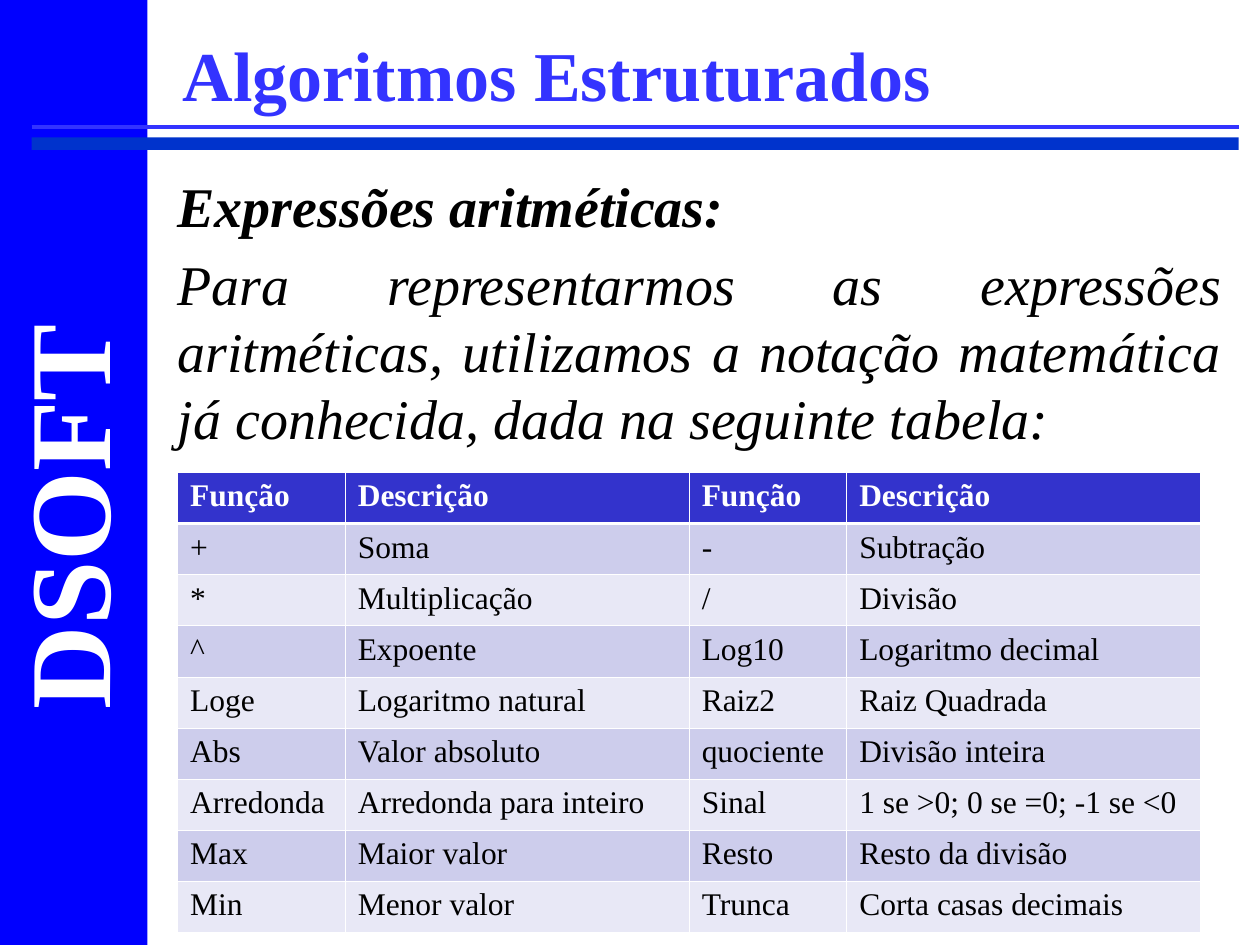
from lxml.etree import SubElement
from pptx import Presentation
from pptx.dml.color import RGBColor
from pptx.enum.shapes import MSO_CONNECTOR, MSO_SHAPE
from pptx.enum.text import MSO_ANCHOR, MSO_AUTO_SIZE, PP_ALIGN
from pptx.oxml.ns import qn
from pptx.util import Inches, Pt

COLORS = {
    "sidebar": "0000FF",
    "bar": "0033CC",
    "accent": "3333FF",
    "header": "3333CC",
    "odd_row": "CDCDEC",
    "even_row": "E8E8F6",
    "white": "FFFFFF",
    "black": "000000",
}
FONT = "Times New Roman"
COLUMN_WIDTHS = [1.33, 2.73, 1.25, 2.81]
FUNCTIONS = [
    ["Função", "Descrição", "Função", "Descrição"],
    ["+", "Soma", "-", "Subtração"],
    ["*", "Multiplicação", "/", "Divisão"],
    ["^", "Expoente", "Log10", "Logaritmo decimal"],
    ["Loge", "Logaritmo natural", "Raiz2", "Raiz Quadrada"],
    ["Abs", "Valor absoluto", "quociente", "Divisão inteira"],
    ["Arredonda", "Arredonda para inteiro", "Sinal", "1 se >0; 0 se =0; -1 se <0"],
    ["Max", "Maior valor", "Resto", "Resto da divisão"],
    ["Min", "Menor valor", "Trunca", "Corta casas decimais"],
]


def color(name):
    return RGBColor.from_string(COLORS[name])


def write(para, text, size=18, ink="black", bold=False, italic=False,
          align=PP_ALIGN.LEFT, before=0):
    para.alignment = align
    para.space_before = Pt(before)
    span = para.add_run()
    span.text = text
    span.font.name = FONT
    span.font.size = Pt(size)
    span.font.bold = bold
    span.font.italic = italic
    span.font.color.rgb = color(ink)


def remove_bullet(para):
    properties = para._p.get_or_add_pPr()
    properties.set("marL", "0")
    properties.set("indent", "0")
    SubElement(properties, qn("a:buNone"))


def set_border(cell, side, width):
    properties = cell._tc.get_or_add_tcPr()
    line = SubElement(properties, qn(f"a:ln{side}"), w=str(Pt(width)))
    fill = SubElement(line, qn("a:solidFill"))
    SubElement(fill, qn("a:srgbClr"), val=COLORS["white"])


class SlideBuilder:
    def __init__(self, deck):
        self.page = deck.slides.add_slide(deck.slide_layouts[1])

    def place(self, box, left, top, width, height, anchor):
        box.left, box.top = Inches(left), Inches(top)
        box.width, box.height = Inches(width), Inches(height)
        frame = box.text_frame
        frame.auto_size = MSO_AUTO_SIZE.NONE
        frame.word_wrap = True
        frame.vertical_anchor = anchor
        return frame

    def rectangle(self, left, top, width, height, fill):
        box = self.page.shapes.add_shape(
            MSO_SHAPE.RECTANGLE, Inches(left), Inches(top), Inches(width), Inches(height))
        box.shadow.inherit = False
        box.fill.solid()
        box.fill.fore_color.rgb = color(fill)
        box.line.fill.background()

    def rule(self, left, right, top, ink, width):
        line = self.page.shapes.add_connector(
            MSO_CONNECTOR.STRAIGHT, Inches(left), Inches(top), Inches(right), Inches(top))
        line.line.color.rgb = color(ink)
        line.line.width = Pt(width)
        SubElement(line._element.spPr, qn("a:effectLst"))

    def vertical_label(self, text, left, top, width, height):
        box = self.page.shapes.add_textbox(
            Inches(left), Inches(top), Inches(width), Inches(height))
        box.rotation = 270
        box.text_frame.word_wrap = True
        box.text_frame.margin_right = 0
        write(box.text_frame.paragraphs[0], text, size=66, ink="white", bold=True)

    def title(self, text, *area):
        frame = self.place(self.page.shapes.title, *area, MSO_ANCHOR.MIDDLE)
        write(frame.paragraphs[0], text, size=40, ink="accent", bold=True)

    def body(self, heading, text, *area):
        frame = self.place(self.page.placeholders[1], *area, MSO_ANCHOR.TOP)
        paragraphs = [frame.paragraphs[0], frame.add_paragraph()]
        for para, content, bold in zip(paragraphs, [heading, text], [True, False]):
            write(para, content, size=32, bold=bold, italic=True,
                  align=PP_ALIGN.JUSTIFY, before=6)
            remove_bullet(para)

    def table(self, rows, widths, left, top, height):
        table = self.page.shapes.add_table(
            len(rows), len(widths), Inches(left), Inches(top),
            Inches(sum(widths)), Inches(height)).table
        table.horz_banding = False
        for column, width in zip(table.columns, widths):
            column.width = Inches(width)
        for index, values in enumerate(rows):
            header = index == 0
            fill = "header" if header else "odd_row" if index % 2 else "even_row"
            edges = {"L": 0.45, "R": 0.45,
                     "T": 1.47 if index == 1 else 0.45,
                     "B": 1.47 if header else 0.45}
            for cell, value in zip(table.rows[index].cells, values):
                write(cell.text_frame.paragraphs[0], value,
                      ink="white" if header else "black", bold=header)
                for side, width in edges.items():
                    set_border(cell, side, width)
                cell.fill.solid()
                cell.fill.fore_color.rgb = color(fill)


def main():
    deck = Presentation()
    deck.slide_width, deck.slide_height = Inches(10), Inches(7.5)
    slide = SlideBuilder(deck)
    slide.rectangle(0, 0, 1.17, 7.5, "sidebar")
    slide.rectangle(0.25, 1.09, 9.58, 0.1, "bar")
    slide.rule(0.25, 9.83, 1.01, "accent", 2.25)
    slide.vertical_label("DSOFT", -1.11, 3.5, 3.25, 1.2)
    slide.title("Algoritmos Estruturados", 1.35, 0.08, 8.49, 1)
    slide.body(
        "Expressões aritméticas:",
        "Para representarmos as expressões aritméticas, utilizamos a notação "
        "matemática já conhecida, dada na seguinte tabela:",
        1.31, 1.31, 8.49, 5.91)
    slide.table(FUNCTIONS, COLUMN_WIDTHS, 1.41, 3.75, 3.65)
    deck.save("out.pptx")


if __name__ == "__main__":
    main()
